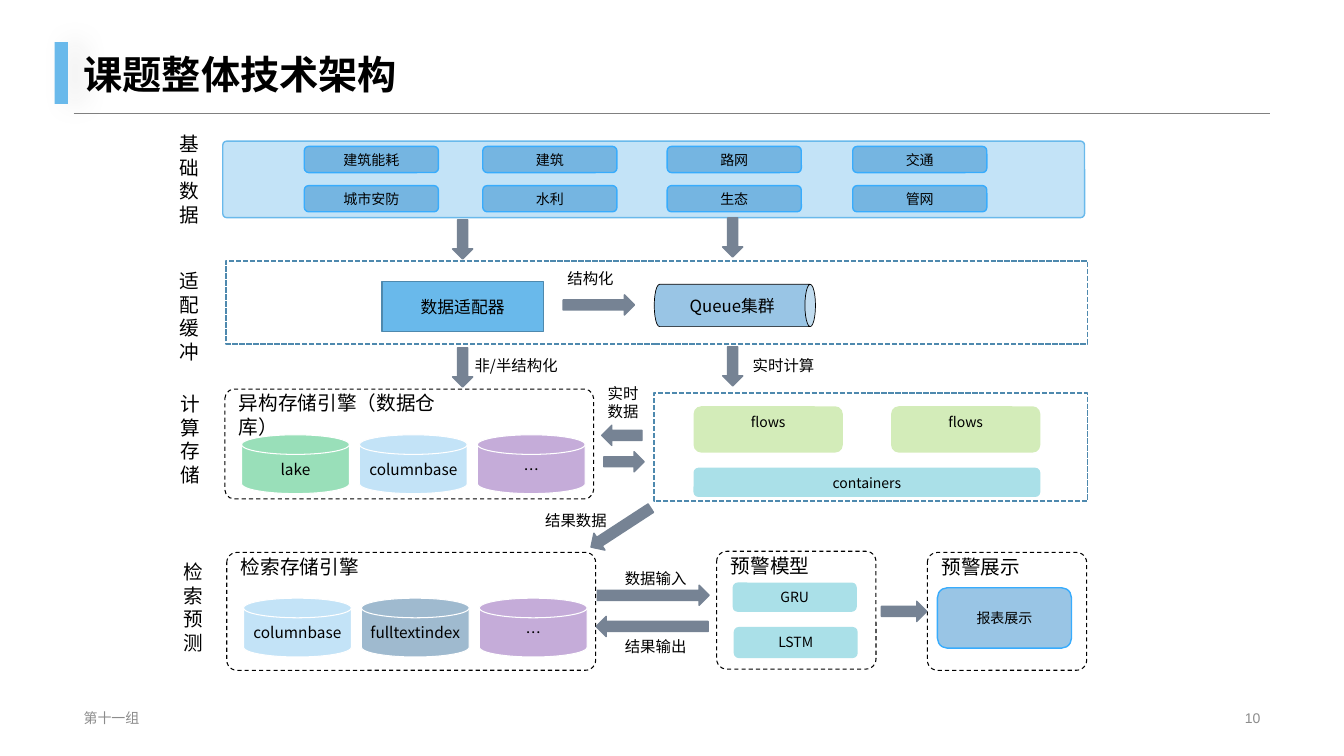
import pptx
import pptx.util
import pptx.dml.color
import pptx.enum.dml
import pptx.enum.shapes
import pptx.enum.text
import pptx.oxml
import pptx.oxml.ns

Pt = pptx.util.Pt
KIND = pptx.enum.shapes.MSO_SHAPE
DASH = pptx.enum.dml.MSO_LINE
ANCHOR = pptx.enum.text.MSO_ANCHOR
ALIGN = pptx.enum.text.PP_ALIGN
NOTO = "Noto Sans CJK SC"
MAIN = "http://schemas.openxmlformats.org/drawingml/2006/main"

HUE = {
    "sky": "69B9EB", "blue": "0070C0", "bright": "38ACFD", "steel": "4E89AE",
    "navy": "0F5489", "green": "00B050", "lime": "92D050", "teal": "2BB3C6",
    "plum": "7030A0", "slate": "768394", "gray": "808080", "foot": "8C8C8C",
    "black": "000000", "white": "FFFFFF",
}

# Format values of text frames
MID = {"vertical_anchor": ANCHOR.MIDDLE, "word_wrap": True}
TOP = {"vertical_anchor": ANCHOR.TOP, "word_wrap": True}
LOW = {"vertical_anchor": ANCHOR.BOTTOM, "word_wrap": True}
SIDE = {"vertical_anchor": ANCHOR.TOP, "word_wrap": False}
THIN = dict(MID, margin_left=Pt(3), margin_right=Pt(3),
            margin_top=0, margin_bottom=0)


def apply(item, vals):
    for name, val in vals.items():
        setattr(item, name, val)


def tint(name):
    return pptx.dml.color.RGBColor.from_string(HUE[name])


def write(shape, text, size, frame=MID, align=ALIGN.CENTER, font=NOTO,
          hue="black", bold=False, space=None):
    body = shape.text_frame
    apply(body, frame)
    for i, line in enumerate(text.split("\n")):
        para = body.add_paragraph() if i else body.paragraphs[0]
        apply(para, {"alignment": align, "line_spacing": space})
        run = para.add_run()
        run.text = line
        apply(run.font, {"name": font, "size": Pt(size), "bold": bold})
        run.font.color.rgb = tint(hue)
        east = run.font._element.makeelement(
            pptx.oxml.ns.qn("a:ea"), {"typeface": NOTO})
        run.font._element.append(east)


def label(slide, box, text, size=11, frame=TOP, align=ALIGN.LEFT, **style):
    item = slide.shapes.add_textbox(*map(Pt, box))
    write(item, text, size, frame, align, **style)


def block(slide, kind, box, fill=None, line=None, width=1, dash=None,
          alpha=None, adj=None):
    item = slide.shapes.add_shape(kind, *map(Pt, box))
    item.shadow.inherit = False
    if fill:
        item.fill.solid()
        item.fill.fore_color.rgb = tint(fill)
    else:
        item.fill.background()
    if alpha:
        color = item.fill._xPr.find(".//" + pptx.oxml.ns.qn("a:srgbClr"))
        color.append(pptx.oxml.parse_xml(
            f'<a:alpha xmlns:a="{MAIN}" val="{alpha * 1000}"/>'))
    if line:
        item.line.color.rgb = tint(line)
        apply(item.line, {"width": Pt(width), "dash_style": dash})
    else:
        item.line.fill.background()
    if adj is not None:
        item.adjustments[0] = adj
    return item


def arrow(slide, mid, size, turn=0):
    x, y = mid
    item = block(slide, KIND.DOWN_ARROW, (x - 7.2, y - size / 2, 14.4, size),
                 "slate", "slate")
    item.rotation = turn


def pill(slide, box, text):
    item = block(slide, KIND.ROUNDED_RECTANGLE, box, "blue", "bright", alpha=40)
    write(item, text, 10)


def chip(slide, box, text, fill):
    item = block(slide, KIND.ROUNDED_RECTANGLE, box, fill, alpha=40)
    write(item, text, 10, TOP)


def panel(slide, box, title, width=124.6):
    x, y, w, h = box
    block(slide, KIND.ROUNDED_RECTANGLE, box, line="black", width=0.75,
          dash=DASH.DASH, adj=0.086)
    label(slide, (x + 3, y - 2, width, 24.5), title, 14)


def zone(slide, box):
    block(slide, KIND.RECTANGLE, box, line="steel", width=1.25,
          dash=DASH.SQUARE_DOT)


# Title, rule, accent bar and footer
def frame(slide, box):
    x, y, w, h = box
    rule = slide.shapes.add_connector(
        pptx.enum.shapes.MSO_CONNECTOR.STRAIGHT,
        Pt(x + 52.6), Pt(y + 81), Pt(x + w - 52.6), Pt(y + 81))
    rule.line.color.rgb = tint("gray")
    rule.line.width = Pt(0.25)
    rule._element.spPr.append(
        pptx.oxml.parse_xml(f'<a:effectLst xmlns:a="{MAIN}"/>'))
    bar = block(slide, KIND.RECTANGLE, (x + 39, y + 30.2, 9.5, 44), "sky")
    glow = bar._element.spPr.find(pptx.oxml.ns.qn("a:effectLst"))
    glow.append(pptx.oxml.parse_xml(
        f'<a:outerShdw xmlns:a="{MAIN}" blurRad="254000" dist="127000" dir="0">'
        '<a:srgbClr val="262626"><a:alpha val="10000"/></a:srgbClr>'
        '</a:outerShdw>'))
    label(slide, (x + 52.6, y - 7.2, w - 105.2, 80.6), "课题整体技术架构", 28,
          LOW, font="Arial", bold=True, space=0.9)
    foot = {"font": "Arial", "hue": "foot"}
    label(slide, (x + 52.6, y + 504.7, 326, 16.6), "第十一组", 10, MID, **foot)
    label(slide, (x + w - 281.6, y + 504.7, 229, 16.6), "10", 10, MID,
          ALIGN.RIGHT, **foot)


# Vertical name of a layer
def side(slide, box, text):
    label(slide, box, "\n".join(text), 14, SIDE, font="Arial")


# Source data
def source(slide, box):
    x, y, w, h = box
    block(slide, KIND.ROUNDED_RECTANGLE, box, "sky", "sky", alpha=40, adj=0.053)
    pairs = [(58.3, "建筑能耗", "城市安防"), (185.8, "建筑", "水利"),
             (317.5, "路网", "生态"), (450, "交通", "管网")]
    for left, *names in pairs:
        for row, name in enumerate(names):
            pill(slide, (x + left, y + 3.8 + 28 * row, 95.8, 18.7), name)


# Adapter and message queue
def buffer(slide, box):
    x, y, w, h = box
    zone(slide, box)
    unit = block(slide, KIND.RECTANGLE, (x + 111.6, y + 14.4, 115.2, 36),
                 "sky", "steel")
    write(unit, "数据适配器", 12)
    queue = block(slide, KIND.CAN, (x + 348.5, y - 25.9, 30.2, 115.2),
                  "blue", "black", 0.5, alpha=40)
    queue.rotation = 90
    write(queue, "Queue集群", 12)
    queue.text_frame._txBody.bodyPr.set("vert", "vert270")
    arrow(slide, (x + 266.4, y + 31.3), 51, 270)
    label(slide, (x + 236.9, y + 2, 124.6, 20.9), "结构化")


# Engine with a row of disks
def engine(slide, box, title, width, disks):
    x, y, w, h = box
    panel(slide, box, title, width)
    for i, (name, fill) in enumerate(disks):
        disk = block(slide, KIND.FLOWCHART_MAGNETIC_DISK,
                     (x + 12 + 84.2 * i, y + 32.7, 77, 42), fill, "white",
                     0.75, alpha=40)
        write(disk, name, 11, THIN)


# Stream computing
def compute(slide, box):
    x, y, w, h = box
    zone(slide, box)
    for left in (28.1, 169.2):
        chip(slide, (x + left, y + 9.4, 106.6, 33.1), "flows", "lime")
    chip(slide, (x + 28.1, y + 53.3, 247.7, 20.9), "containers", "teal")


# Warning models
def models(slide, box):
    x, y, w, h = box
    panel(slide, box, "预警模型")
    chip(slide, (x + 11.5, y + 22.3, 88.6, 20.9), "GRU", "teal")
    chip(slide, (x + 12.2, y + 54, 88.6, 22.3), "LSTM", "teal")


# Warning display
def display(slide, box):
    x, y, w, h = box
    panel(slide, box, "预警展示")
    pill(slide, (x + 7.2, y + 25.2, 95.8, 43.2), "报表展示")


# Arrows and captions between the layers
def flows(slide, box):
    x, y, w, h = box
    links = [(330.5, 171, 28, 0), (523.4, 169.6, 28, 0),
             (330.5, 262.4, 28, 0), (523.4, 261.7, 28, 0),
             (444.2, 311, 28.8, 90), (445.7, 329.8, 28.8, 270),
             (443.5, 376.9, 51, 56.9), (466.6, 425.2, 80, 270),
             (465.8, 447.5, 80, 90), (645.8, 436.7, 32.4, 270)]
    for left, top, size, turn in links:
        arrow(slide, (x + left, y + top), size, turn)
    notes = [(331.9, 250.6, "非/半结构化"), (530.6, 250.6, "实时计算"),
             (427, 270.7, "实时\n数据"), (382.3, 361.4, "结果数据"),
             (439.2, 403.2, "数据输入"), (439.2, 451.4, "结果输出")]
    for left, top, text in notes:
        label(slide, (x + left, y + top, 124.6, 20.9), text)


def main():
    deck = pptx.Presentation()
    apply(deck, {"slide_width": Pt(960), "slide_height": Pt(540)})
    slide = deck.slides.add_slide(deck.slide_layouts[6])
    page = (0, 0, 960, 540)
    frame(slide, page)
    for left, top, name in [(121, 90.7, "基础数据"), (121, 188.6, "适配缓冲"),
                            (121.7, 276.5, "计算存储"), (123.8, 396.7, "检索预测")]:
        side(slide, (left, top, 28.8, 75), name)
    source(slide, (159.1, 100.8, 615.6, 54.7))
    buffer(slide, (161.3, 186.5, 615.6, 59))
    engine(slide, (160.6, 277.9, 263.5, 78.5), "异构存储引擎（数据仓库）", 180.7,
           [("lake", "green"), ("columnbase", "sky"), ("…", "plum")])
    compute(slide, (467.3, 280.8, 309.6, 77))
    engine(slide, (162, 394.6, 263.5, 84.2), "检索存储引擎", 124.6,
           [("columnbase", "sky"), ("fulltextindex", "navy"), ("…", "plum")])
    models(slide, (511.9, 393.8, 113.8, 84.2))
    display(slide, (662.4, 394.6, 113.8, 84.2))
    flows(slide, page)
    deck.save("out.pptx")


if __name__ == "__main__":
    main()
